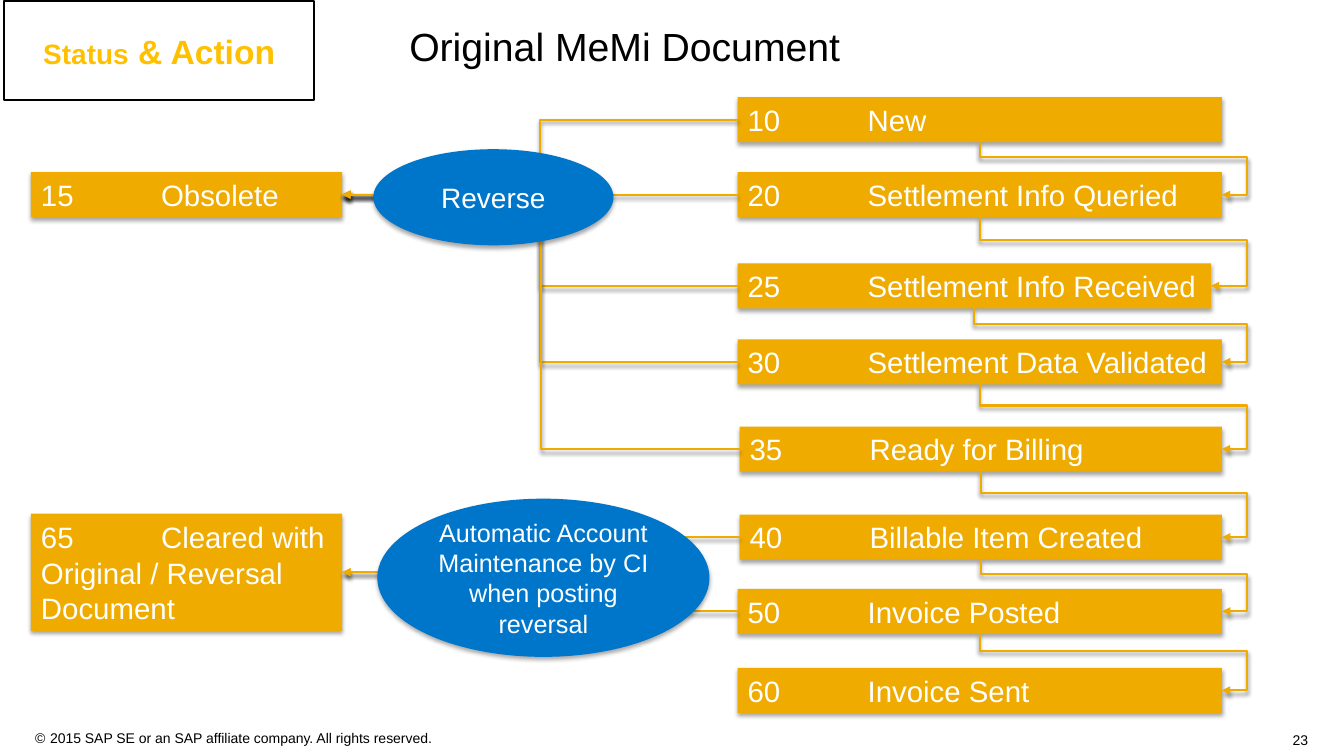
from itertools import pairwise

from lxml.etree import SubElement
from pptx import Presentation
from pptx.dml.color import RGBColor
from pptx.enum.shapes import MSO_CONNECTOR as Connector, MSO_SHAPE as Shape
from pptx.enum.text import MSO_ANCHOR as Anchor, PP_ALIGN as Align
from pptx.oxml.ns import qn
from pptx.util import Pt

PX = 9080
GOLD, BLUE, AMBER, WHITE, BLACK = "F0AB00", "0076CB", "FFC000", "FFFFFF", "000000"
LOOP_X = 1246
ROW_HEIGHT = 45
TAB = 120
STATUSES = [
    ("10\tNew", 737, 97, 1221),
    ("20\tSettlement Info Queried", 737, 172, 1221),
    ("25\tSettlement Info Received", 737, 263, 1210),
    ("30\tSettlement Data Validated", 737, 339, 1221),
    ("35\tReady for Billing", 739, 426, 1221),
    ("40\tBillable Item Created", 739, 514, 1221),
    ("50\tInvoice Posted", 737, 588, 1221),
    ("60\tInvoice Sent", 737, 667, 1221),
]


def px(value):
    """Turn pixels into whole EMU."""
    return round(value * PX)


def color(value):
    """Turn a hex string into a colour."""
    return RGBColor.from_string(value)


def add_element(parent, tag, **attributes):
    """Append a DrawingML element with its attributes."""
    return SubElement(parent, qn(tag), {key: str(value) for key, value in attributes.items()})


def add_shadow(effects, alpha, distance):
    """Put a soft downward shadow in an effect list."""
    shadow = add_element(effects, "a:outerShdw", blurRad=Pt(3), dist=Pt(distance),
                         dir=5400000, rotWithShape=0)
    add_element(add_element(shadow, "a:srgbClr", val=BLACK), "a:alpha", val=alpha * 1000)


def add_run(paragraph, text, size, font_color, bold=False):
    """Add one formatted run."""
    run = paragraph.add_run()
    run.text = text
    font = run.font
    font.name, font.size, font.bold = "Arial", Pt(size), bold
    font.color.rgb = color(font_color)


def set_insets(frame, left, top, right, bottom):
    """Set the margins of a text frame."""
    frame.margin_left, frame.margin_top = px(left), px(top)
    frame.margin_right, frame.margin_bottom = px(right), px(bottom)


def add_box(slide, kind, box, fill, line=None):
    """Add a filled preset shape, shadowed unless it has an outline."""
    shape = slide.shapes.add_shape(kind, *map(px, box))
    shape.fill.solid()
    shape.fill.fore_color.rgb = color(fill)
    shape.shadow.inherit = False
    if line:
        shape.line.color.rgb = color(line)
        shape.line.width = Pt(1.5)
    else:
        shape.line.fill.background()
        add_shadow(shape._element.spPr.find(qn("a:effectLst")), 35, 2)
    frame = shape.text_frame
    frame.word_wrap = True
    frame.vertical_anchor = Anchor.MIDDLE
    set_insets(frame, 10, 8, 10, 8)
    frame.paragraphs[0].alignment = Align.CENTER
    return shape


def add_status(slide, text, box):
    """Add a gold status bar with a code and a tabbed name."""
    shape = add_box(slide, Shape.RECTANGLE, box, GOLD)
    set_insets(shape.text_frame, 10, 5, 0, 5)
    paragraph = shape.text_frame.paragraphs[0]
    paragraph.alignment = Align.LEFT
    tabs = add_element(paragraph._p.get_or_add_pPr(), "a:tabLst")
    add_element(tabs, "a:tab", pos=px(TAB), algn="l")
    add_run(paragraph, text, 21, WHITE)
    return shape


def add_action(slide, text, box, size):
    """Add a blue action ellipse."""
    shape = add_box(slide, Shape.OVAL, box, BLUE)
    add_run(shape.text_frame.paragraphs[0], text, size, WHITE)


def add_arrow(slide, begin_x, begin_y, end_x, end_y):
    """Add a gold elbow arrow."""
    connector = slide.shapes.add_connector(Connector.ELBOW, begin_x, begin_y, end_x, end_y)
    connector.line.color.rgb = color(GOLD)
    connector.line.width = Pt(1.5)
    add_element(connector.line._get_or_add_ln(), "a:tailEnd", type="triangle")
    add_shadow(add_element(connector._element.spPr, "a:effectLst"), 45, 2.4)
    return connector


def add_loop(slide, upper, lower):
    """Lead from the bottom of one status round to the right of the next."""
    begin_x, begin_y = upper.left + upper.width // 2, upper.top + upper.height
    end_x, end_y = lower.left + lower.width, lower.top + lower.height // 2
    width, height = end_x - begin_x, end_y - begin_y
    middle_x, middle_y = (begin_x + end_x) // 2, (begin_y + end_y) // 2
    connector = add_arrow(slide, middle_x + height // 2, middle_y - width // 2,
                          middle_x - height // 2, middle_y + width // 2)
    properties = connector._element.spPr
    properties.find(qn("a:xfrm")).set("rot", "16200000")
    geometry = properties.find(qn("a:prstGeom"))
    geometry.set("prst", "bentConnector4")
    guides = geometry.find(qn("a:avLst"))
    ratios = ((lower.top - begin_y) / 2 / height, (px(LOOP_X) - begin_x) / width)
    for number, ratio in enumerate(ratios, 1):
        add_element(guides, "a:gd", name=f"adj{number}", fmla=f"val {round(ratio * 100000)}")


def add_return(slide, status, result):
    """Lead from the left of a status to the right of its result."""
    connector = add_arrow(slide, status.left, status.top, result.left, result.top)
    connector.begin_connect(status, 1)
    connector.end_connect(result, 3)


def add_text(slide, box, text, size, align=Align.LEFT, bullet=None):
    """Add a line of black text, optionally with a bullet sign."""
    frame = slide.shapes.add_textbox(*map(px, box)).text_frame
    frame.word_wrap = True
    set_insets(frame, 0, 0, 0, 0)
    paragraph = frame.paragraphs[0]
    paragraph.alignment = align
    if bullet:
        properties = paragraph._p.get_or_add_pPr()
        properties.set("marL", str(px(15)))
        properties.set("indent", str(-px(15)))
        add_element(add_element(properties, "a:buClr"), "a:srgbClr", val=BLACK)
        add_element(properties, "a:buFont", typeface="Arial")
        add_element(properties, "a:buChar", char=bullet)
    add_run(paragraph, text, size, BLACK)


def add_header(slide, left, top):
    """Add the label box and the title."""
    label = add_box(slide, Shape.RECTANGLE, (left, top, 310, 99), WHITE, BLACK)
    paragraph = label.text_frame.paragraphs[0]
    add_run(paragraph, "Status", 20, AMBER, True)
    add_run(paragraph, " & Action", 24, AMBER, True)
    add_text(slide, (left + 405, top + 21, 546, 47), "Original MeMi Document", 28)


def add_flow(slide, left):
    """Add the status chain, the two results and the actions between them."""
    statuses = [add_status(slide, text, (x, y, right - x, ROW_HEIGHT))
                for text, x, y, right in STATUSES]
    obsolete = add_status(slide, "15\tObsolete", (left, 172, 311, ROW_HEIGHT))
    cleared = add_status(slide, "65\tCleared with Original / Reversal Document",
                         (left, 513, 311, 117))
    for upper, lower in pairwise(statuses):
        add_loop(slide, upper, lower)
    for status in statuses[:5]:
        add_return(slide, status, obsolete)
    for status in statuses[5:7]:
        add_return(slide, status, cleared)
    add_action(slide, "Reverse", (left + 342, 149, 240, 96), 20)
    add_action(slide, "Automatic Account Maintenance by CI when posting reversal",
               (left + 346, 498, 332, 158), 18)


def add_footer(slide, left, top):
    """Add the copyright line and the page number."""
    add_text(slide, (left, top, 420, 17),
             "2015 SAP SE or an SAP affiliate company. All rights reserved.", 10, bullet="©")
    add_text(slide, (left + 1232, top + 2, 40, 17), "23", 10, Align.RIGHT)


def main():
    """Build and save the slide."""
    presentation = Presentation()
    presentation.slide_width, presentation.slide_height = px(1343), px(755)
    slide = presentation.slides.add_slide(presentation.slide_layouts[6])
    add_footer(slide, 35, 729)
    add_flow(slide, 31)
    add_header(slide, 4, 1)
    presentation.save("out.pptx")


if __name__ == "__main__":
    main()
